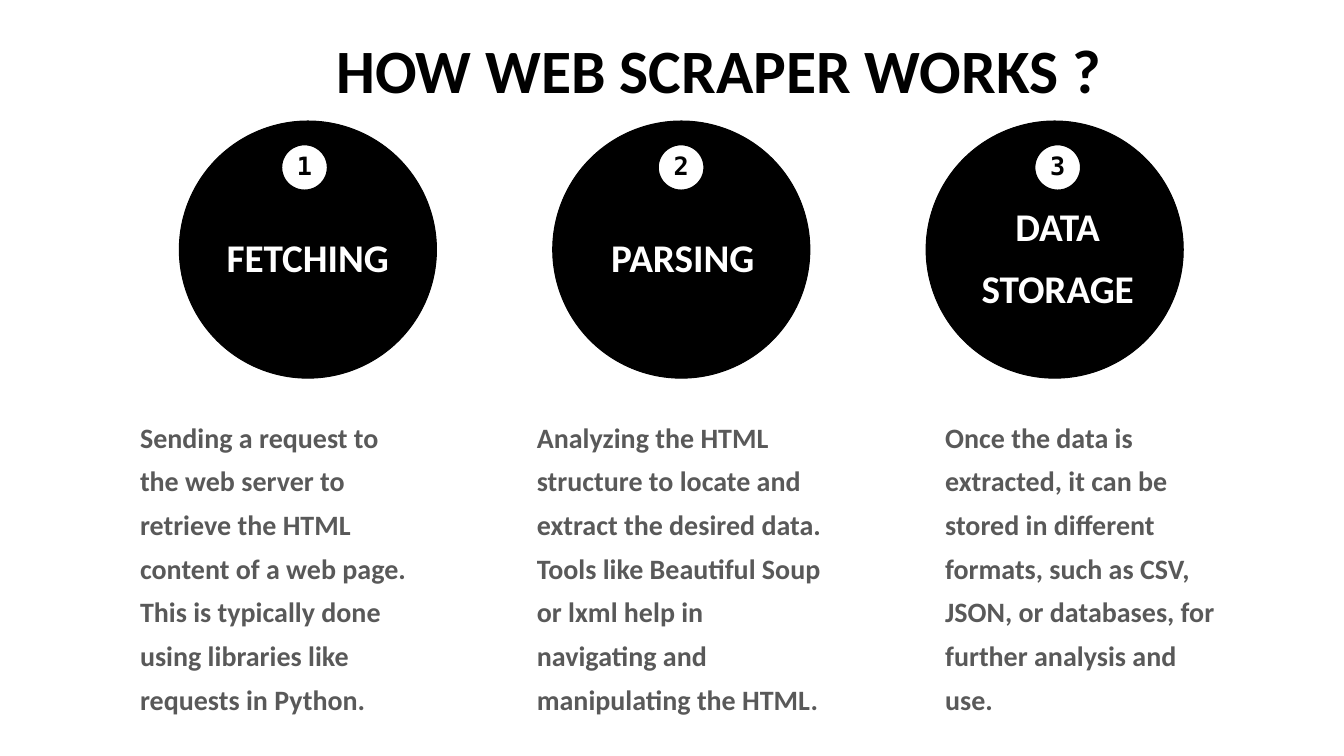
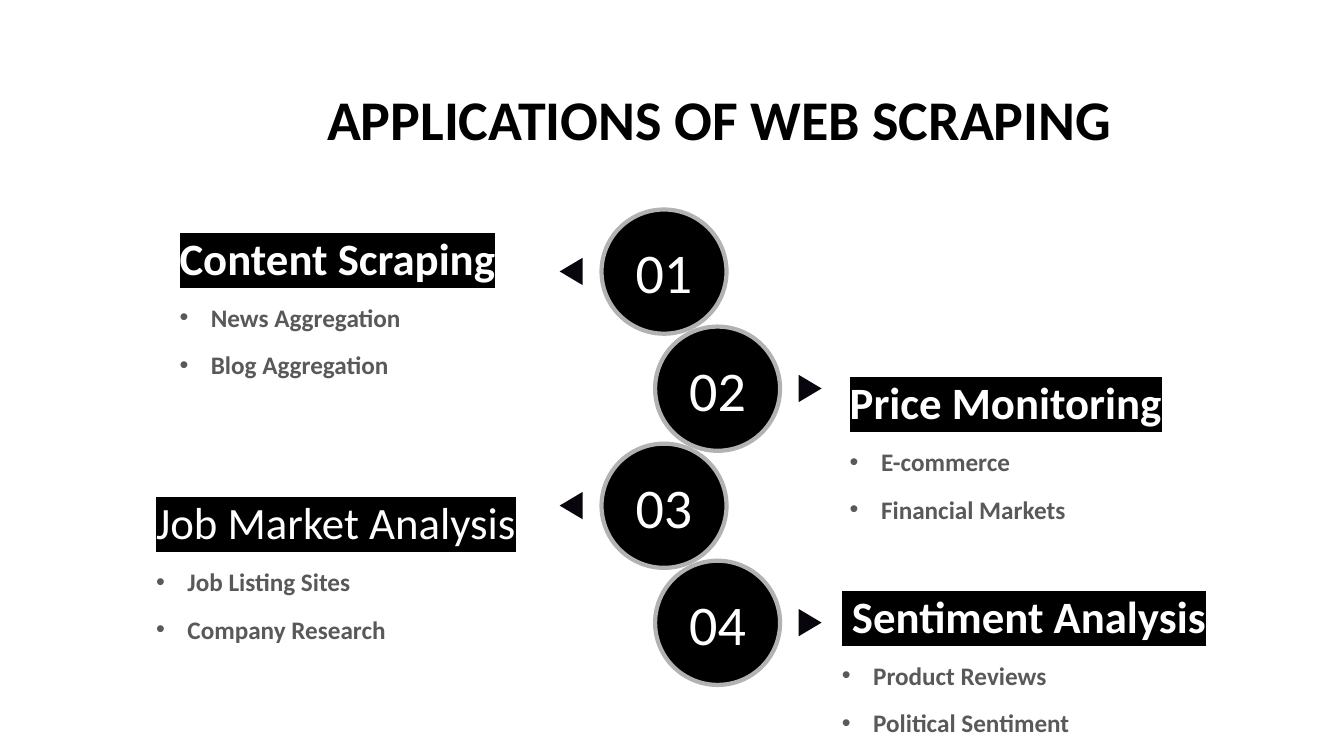
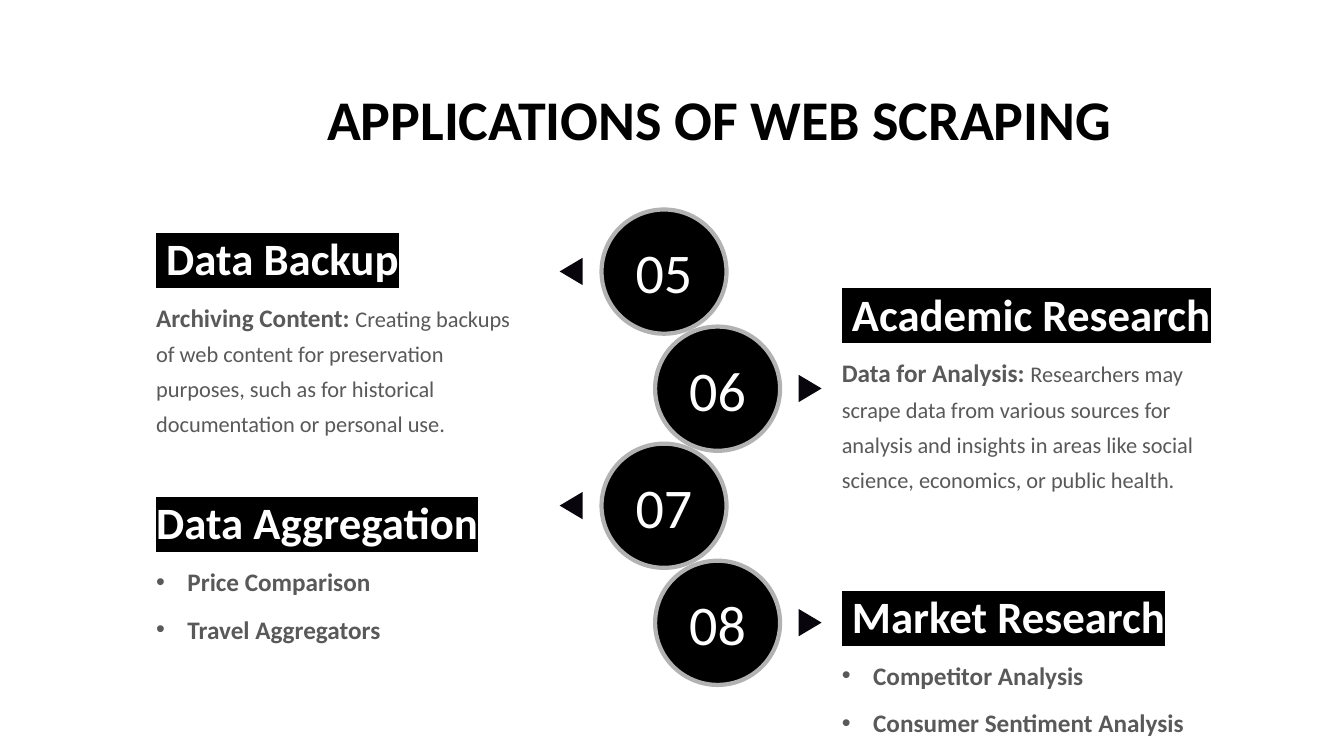
from lxml.etree import SubElement
from pptx import Presentation
from pptx.dml.color import RGBColor
from pptx.enum.shapes import MSO_SHAPE as Kind
from pptx.enum.text import MSO_ANCHOR as Anchor, MSO_AUTO_SIZE as Fit, PP_ALIGN as Align
from pptx.oxml.ns import qn
from pptx.util import Cm, Pt

# Content
STEPS = [  # label, detail, detail left, detail width
    ("FETCHING", "Sending a request to the web server to retrieve the HTML content "
     "of a web page. This is typically done using libraries like requests in Python.",
     3.28, 7.29),
    ("PARSING", "Analyzing the HTML structure to locate and extract the desired data. "
     "Tools like Beautiful Soup or lxml help in navigating and manipulating the HTML.",
     13.28, 7.72),
    ("DATA STORAGE", "Once the data is extracted, it can be stored in different formats, "
     "such as CSV, JSON, or databases, for further analysis and use.",
     23.57, 7.57),
]
# heading, bold, (left, top, width), lines; a pair is a bold lead and plain text
USES = [
    [
        ("Content Scraping", True, (4.27, 5.28, 9.32),
         ["News Aggregation", "Blog Aggregation"]),
        ("Price Monitoring", True, (21.16, 8.92, 9.25),
         ["E-commerce", "Financial Markets"]),
        ("Job Market Analysis", False, (3.68, 11.94, 9.91),
         ["Job Listing Sites", "Company Research"]),
        (" Sentiment Analysis", True, (20.96, 14.3, 10.8),
         ["Product Reviews", "Political Sentiment"]),
    ],
    [
        (" Data Backup", True, (3.68, 5.28, 9.91),
         [("Archiving Content: ", "Creating backups of web content for preservation "
           "purposes, such as for historical documentation or personal use.")]),
        (" Academic Research", True, (20.96, 6.68, 10.62),
         [("Data for Analysis: ", "Researchers may scrape data from various sources for "
           "analysis and insights in areas like social science, economics, or public "
           "health.")]),
        ("Data Aggregation", True, (3.68, 11.94, 9.91),
         ["Price Comparison", "Travel Aggregators"]),
        (" Market Research", True, (20.96, 14.3, 10.8),
         ["Competitor Analysis", "Consumer Sentiment Analysis"]),
    ],
]

# Shared style
FONT, MONO = "Calibri", "DejaVu Sans Mono"
BLACK, WHITE, GREY, RING, ARROW = "000000", "FFFFFF", "595959", "B2B2B2", "08050D"

deck = Presentation()
deck.slide_width, deck.slide_height = Cm(33.87), Cm(19.05)


def rgb(code):
    return RGBColor.from_string(code)


def style(run, size, color, bold=True, face=FONT):
    font = run.font
    font.size, font.bold, font.name = Pt(size), bold, face
    font.color.rgb = rgb(color)


def mark(run, color):
    """Highlight a run; the element belongs right after its fill."""
    props = run.font._element
    light = SubElement(props, qn("a:highlight"))
    SubElement(light, qn("a:srgbClr")).set("val", color)
    props.find(qn("a:solidFill")).addnext(light)


def place(shape, left, top, width, height):
    shape.left, shape.top = Cm(left), Cm(top)
    shape.width, shape.height = Cm(width), Cm(height)


def start(layout, text, size, top, height):
    slide = deck.slides.add_slide(deck.slide_layouts[layout])
    title = slide.shapes.title
    place(title, 4.5, top, 27.25, height)
    frame = title.text_frame
    frame.text, frame.auto_size = text, Fit.NONE
    frame.vertical_anchor = Anchor.MIDDLE
    para = frame.paragraphs[0]
    para.alignment, para.line_spacing = Align.CENTER, 0.9
    style(para.runs[0], size, BLACK)
    return slide


def draw(slide, kind, box, fill, line=None, weight=0.75):
    shape = slide.shapes.add_shape(kind, *map(Cm, box))
    shape.shadow.inherit = False
    shape.fill.solid()
    shape.fill.fore_color.rgb = rgb(fill)
    if line:
        shape.line.color.rgb, shape.line.width = rgb(line), Pt(weight)
    else:
        shape.line.fill.background()
    return shape


def number(shape, text, anchor, *look):
    frame = shape.text_frame
    frame.margin_left = frame.margin_right = frame.margin_top = frame.margin_bottom = 0
    frame.text, frame.vertical_anchor = text, anchor
    frame.paragraphs[0].alignment = Align.CENTER
    style(frame.paragraphs[0].runs[0], *look)


def write(slide, box, text, size, color, align=Align.LEFT, anchor=Anchor.TOP):
    frame = slide.shapes.add_textbox(*map(Cm, box)).text_frame
    frame.word_wrap, frame.text, frame.vertical_anchor = True, text, anchor
    para = frame.paragraphs[0]
    para.alignment, para.line_spacing = align, 1.3
    style(para.runs[0], size, color)


def space(para, bullet=False):
    para.alignment, para.line_spacing = Align.LEFT, 1.3
    para.space_before, para.space_after = Pt(0), Pt(6)
    props = para._p.get_or_add_pPr()
    indent = Cm(0.79) if bullet else 0
    props.set("marL", str(indent))
    props.set("indent", str(-indent))
    if bullet:
        SubElement(props, qn("a:buFont")).set("typeface", "Arial")
        SubElement(props, qn("a:buChar")).set("char", "•")
    else:
        SubElement(props, qn("a:buNone"))


def fill_body(body, head, bold, spot, lines):
    place(body, *spot, 3.66)
    frame = body.text_frame
    frame.text, frame.auto_size = head, Fit.NONE
    frame.vertical_anchor = Anchor.TOP
    para = frame.paragraphs[0]
    space(para)
    style(para.runs[0], 32, WHITE, bold)
    mark(para.runs[0], BLACK)
    for line in lines:
        para = frame.add_paragraph()
        listed = isinstance(line, str)
        space(para, listed)
        lead, rest = (line, "") if listed else line
        for text, size, strong in ((lead, 18, True), (rest, 16, False)):
            if text:
                run = para.add_run()
                run.text = text
                style(run, size, GREY, strong)


def show_steps():
    slide = start(5, "HOW WEB SCRAPER WORKS ?", 44, 0.41, 2.9)
    for i, (label, detail, left, width) in enumerate(STEPS):
        draw(slide, Kind.OVAL, (4.52 + 9.41 * i, 3.05, 6.48, 6.48), BLACK, BLACK)
        badge = draw(slide, Kind.OVAL, (7.06 + 9.49 * i, 3.61, 1.23, 1.22),
                     WHITE, BLACK, 3)
        number(badge, str(i + 1), Anchor.TOP, 18, BLACK, True, MONO)
        write(slide, (left, 10.21, width, 8.03), detail, 20, GREY)
        write(slide, (5.38 + 9.45 * i, 5.33, 4.75, 1.93), label, 28, WHITE,
              Align.CENTER, Anchor.MIDDLE)


def show_uses(uses, first):
    slide = start(4, "APPLICATIONS OF WEB SCRAPING", 40, 1.7, 2.77)
    bodies = list(slide.placeholders)[1:]
    for i, (body, use) in enumerate(zip(bodies, uses)):
        right, drop = i % 2, 2.95 * i
        disc = draw(slide, Kind.OVAL, (16.51 if right else 15.16, 5.28 + drop, 3.15, 3.13),
                    BLACK, RING, 3)
        number(disc, f"{first + i:02}", Anchor.MIDDLE, 40, WHITE, False)
        arrow = draw(slide, Kind.ISOSCELES_TRIANGLE,
                     (20.07 if right else 14.05, 6.55 + drop, 0.69, 0.58), ARROW)
        arrow.rotation = 90 if right else 270
        fill_body(body, *use)


show_steps()
for page, uses in enumerate(USES):
    show_uses(uses, 1 + 4 * page)
deck.save("out.pptx")
